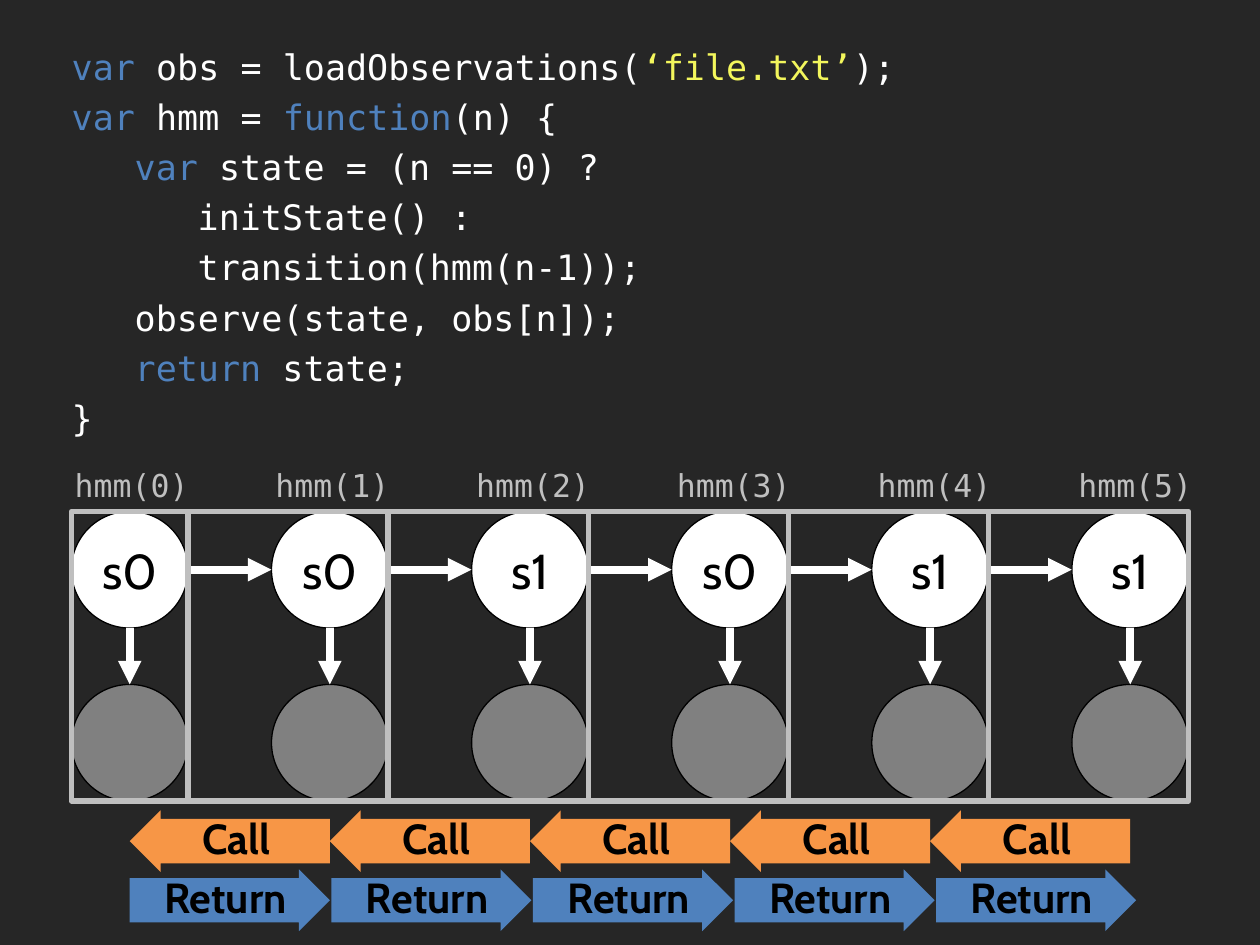
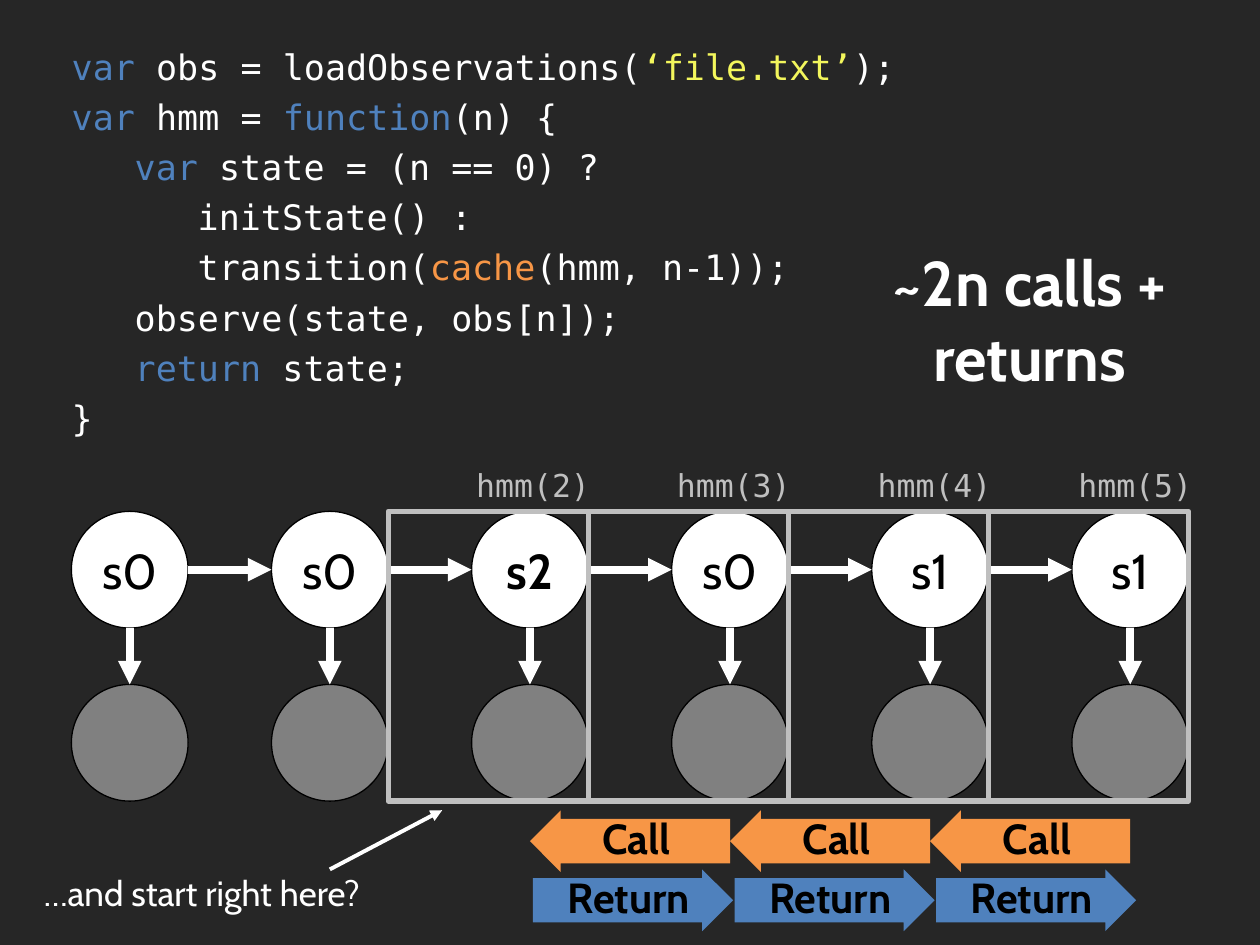
"""Build two slides on calls and returns in a hidden Markov model."""
from dataclasses import dataclass
from typing import NamedTuple

from lxml import etree
from pptx import Presentation
from pptx.dml.color import RGBColor
from pptx.enum import shapes, text
from pptx.oxml import ns
from pptx.util import Pt

DARK = RGBColor(0x26, 0x26, 0x26)
WHITE = RGBColor(0xFF, 0xFF, 0xFF)
BLACK = RGBColor(0x00, 0x00, 0x00)
GREY = RGBColor(0x80, 0x80, 0x80)
SILVER = RGBColor(0xBF, 0xBF, 0xBF)
BLUE = RGBColor(0x4F, 0x81, 0xBD)
ORANGE = RGBColor(0xF7, 0x96, 0x46)
YELLOW = RGBColor(0xF3, 0xF6, 0x5C)

SANS, MONO = "Cabin", "DejaVu Sans Mono"
KIND = shapes.MSO_SHAPE
MID = text.PP_ALIGN.CENTER

COUNT = 6
LEFT, STEP, SIZE = 40.8, 114.34, 66.7
TOP, LOW = 292.2, 391.1
HUB = LEFT + SIZE / 2


class Box(NamedTuple):
    """Hold a place in points."""
    x: float
    y: float
    w: float
    h: float


class Font(NamedTuple):
    """Hold the look of a run of text."""
    size: float
    color: RGBColor
    face: str = SANS
    bold: bool = False


class Bit(NamedTuple):
    """Hold a piece of code and its colour."""
    words: str
    color: RGBColor = WHITE


@dataclass(frozen=True)
class Flow:
    """Describe a row of labelled block arrows."""
    word: str
    kind: KIND
    color: RGBColor
    y: float
    step: float
    inset: float
    width: float


@dataclass(frozen=True)
class Scene:
    """Describe what differs between the slides."""
    states: tuple[str, ...]
    first: int
    step: tuple[Bit, ...]
    bold: str = ""


FLOWS = (
    Flow("Call", KIND.LEFT_ARROW, ORANGE, 463, STEP, 19.6, 82.8),
    Flow("Return", KIND.RIGHT_ARROW, BLUE, 496.8, 115.2, 3.6, 102.2),
)
SCENES = (
    Scene(("s0", "s0", "s1", "s0", "s1", "s1"), 0,
          (Bit("\t\ttransition(hmm(n-1));"),)),
    Scene(("s0", "s0", "s2", "s0", "s1", "s1"), 2,
          (Bit("\t\ttransition("), Bit("cache", ORANGE), Bit("(hmm, n-1));")),
          "s2"),
)


def code(step: tuple[Bit, ...]) -> list[tuple[Bit, ...]]:
    """Return the program lines around the given transition step."""
    return [
        (Bit("var ", BLUE), Bit("obs = loadObservations("),
         Bit("‘file.txt’", YELLOW), Bit(");")),
        (Bit("var ", BLUE), Bit("hmm = "), Bit("function", BLUE), Bit("(n) {")),
        (Bit("\t"), Bit("var ", BLUE), Bit("state = (n == 0) ?")),
        (Bit("\t\tinitState() :"),),
        step,
        (Bit("\tobserve(state, obs[n]);"),),
        (Bit("\t"), Bit("return ", BLUE), Bit("state;")),
        (Bit("}"),),
    ]


def style(run, font: Font) -> None:
    """Apply a font to a run."""
    run.font.name = font.face
    run.font.size = Pt(font.size)
    run.font.bold = font.bold
    run.font.color.rgb = font.color


def write(frame, words: str, font: Font, align=MID) -> None:
    """Fill a text frame with one styled paragraph."""
    frame.text = words
    para = frame.paragraphs[0]
    para.alignment = align
    style(para.runs[0], font)


def label(slide, box: Box, words: str, font: Font, align=MID) -> None:
    """Add a wrapped text box."""
    frame = slide.shapes.add_textbox(*map(Pt, box)).text_frame
    frame.word_wrap = True
    write(frame, words, font, align)


def block(slide, kind: KIND, box: Box, fill=None, line=None, width: float = 0.75):
    """Add a flat preset shape."""
    shape = slide.shapes.add_shape(kind, *map(Pt, box))
    shape.shadow.inherit = False
    if fill is None:
        shape.fill.background()
    else:
        shape.fill.solid()
        shape.fill.fore_color.rgb = fill
    if line is None:
        shape.line.fill.background()
    else:
        shape.line.color.rgb = line
        shape.line.width = Pt(width)
    return shape


def arrow(slide, x: float, y: float, to_x: float, to_y: float,
          width: float = 4.5) -> None:
    """Add a white line with an arrowhead at its end."""
    link = slide.shapes.add_connector(
        shapes.MSO_CONNECTOR.STRAIGHT, Pt(x), Pt(y), Pt(to_x), Pt(to_y))
    link.line.color.rgb = WHITE
    link.line.width = Pt(width)
    etree.SubElement(link.line._get_or_add_ln(), ns.qn("a:tailEnd"), type="triangle")
    etree.SubElement(link._element.spPr, ns.qn("a:effectLst"))


def node(slide, i: int, state: str, bold: bool) -> None:
    """Draw a state, its observation and the arrows that reach them."""
    x = LEFT + i * STEP
    disc = block(slide, KIND.OVAL, Box(x, TOP, SIZE, SIZE), WHITE, BLACK)
    frame = disc.text_frame
    frame.word_wrap = False
    frame.vertical_anchor = text.MSO_ANCHOR.MIDDLE
    write(frame, state, Font(28, BLACK, bold=bold))
    block(slide, KIND.OVAL, Box(x, LOW, SIZE, SIZE), GREY, BLACK)
    hub = x + SIZE / 2
    arrow(slide, hub, TOP + SIZE, hub, LOW)
    if i:
        arrow(slide, x + SIZE - STEP, TOP + SIZE / 2, x, TOP + SIZE / 2)


def cell(slide, i: int) -> None:
    """Frame one call and name it."""
    right = LEFT + SIZE + i * STEP
    wide = STEP if i else SIZE
    block(slide, KIND.RECTANGLE, Box(right - wide, TOP, wide, LOW + SIZE - TOP),
          line=SILVER, width=3)
    label(slide, Box(30.2 + i * 114.7, 263, 90, 29), f"hmm({i})",
          Font(18, SILVER, MONO))


def stream(slide, flow: Flow, first: int) -> None:
    """Draw a row of block arrows from the first call on."""
    for i in range(first, COUNT - 1):
        x = HUB + i * flow.step
        shape = block(slide, flow.kind, Box(x, flow.y, STEP, 35.3), flow.color)
        shape.adjustments[0] = 0.72
        shape.adjustments[1] = 0.5
        label(slide, Box(x + flow.inset, flow.y - 2.2, flow.width, 36),
              flow.word, Font(24, BLACK, bold=True))


def listing(slide, lines: list[tuple[Bit, ...]]) -> None:
    """Write the coloured program."""
    frame = slide.shapes.add_textbox(Pt(33.9), Pt(22.3), Pt(524), Pt(248)).text_frame
    frame.word_wrap = True
    for i, line in enumerate(lines):
        para = frame.add_paragraph() if i else frame.paragraphs[0]
        para.space_before = Pt(4.66)
        tabs = etree.SubElement(para._p.get_or_add_pPr(), ns.qn("a:tabLst"))
        for stop in (36, 72):
            etree.SubElement(tabs, ns.qn("a:tab"), pos=str(Pt(stop)), algn="l")
        for bit in line:
            run = para.add_run()
            run.text = bit.words
            style(run, Font(20, bit.color, MONO))


def draw(deck, scene: Scene):
    """Add the slide of a scene."""
    slide = deck.slides.add_slide(deck.slide_layouts[6])
    slide.background.fill.solid()
    slide.background.fill.fore_color.rgb = DARK
    for i, state in enumerate(scene.states):
        node(slide, i, state, state == scene.bold)
    for i in range(scene.first, COUNT):
        cell(slide, i)
    for flow in FLOWS:
        stream(slide, flow, scene.first)
    listing(slide, code(scene.step))
    return slide


def main() -> None:
    """Build and save the deck."""
    deck = Presentation()
    deck.slide_width, deck.slide_height = Pt(720), Pt(540)
    _, last = [draw(deck, scene) for scene in SCENES]
    label(last, Box(485.3, 135.4, 206, 94.5), "~2n calls + returns",
          Font(36, WHITE, bold=True))
    label(last, Box(18, 494.6, 262, 31.5), "…and start right here?",
          Font(20, WHITE), text.PP_ALIGN.LEFT)
    arrow(last, 188.5, 496.8, 252.7, 463, 2.25)
    deck.save("out.pptx")


if __name__ == "__main__":
    main()
